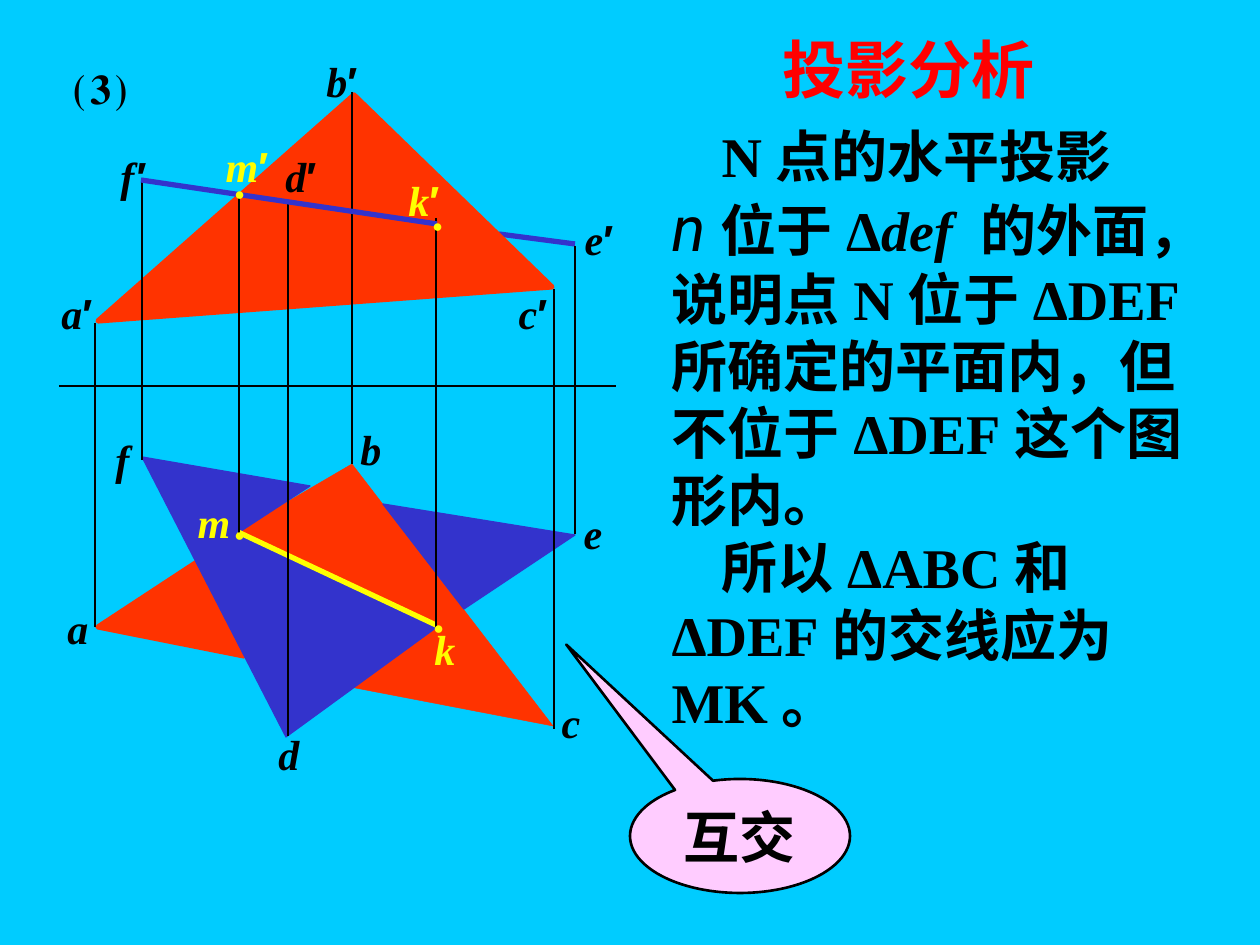
from dataclasses import dataclass

from lxml import etree
from pptx import Presentation
from pptx.dml.color import RGBColor
from pptx.enum.shapes import MSO_CONNECTOR, MSO_SHAPE
from pptx.enum.text import MSO_ANCHOR, MSO_AUTO_SIZE, PP_ALIGN
from pptx.oxml.ns import qn
from pptx.util import Emu, Pt

STRAIGHT = MSO_CONNECTOR.STRAIGHT
CALLOUT = MSO_SHAPE.OVAL_CALLOUT
MIDDLE = MSO_ANCHOR.MIDDLE
NO_FIT = MSO_AUTO_SIZE.NONE
LEFT, CENTER = PP_ALIGN.LEFT, PP_ALIGN.CENTER
SCALE = 914400 / 126


@dataclass(frozen=True)
class Theme:
    sky: str = "00CCFF"
    red: str = "FF3300"
    blue: str = "3333CC"
    yellow: str = "FFFF00"
    black: str = "000000"
    pink: str = "FFCCFF"
    heading: str = "FF0000"
    serif: str = "Times New Roman"
    sans: str = "Arial"
    light: str = "Roboto"
    chinese: str = "Noto Sans CJK SC"
    title_size: int = 36
    body_size: int = 32
    label_size: int = 24
    dot_size: int = 10
    thin: float = 1.5
    thick: float = 3


THEME = Theme()

TITLE = "投影分析"
TITLE_BOX = (770, 24, 290, 88)
BODY_BOX = (659, 115, 568, 626)
FIRST_INDENT = 50
# (first line indented, [(text, style)])
BODY = [
    (True, [("N点的水平投影", "")]),
    (False, [("n", "light"), ("位于Δ", ""), ("def ", "italic"), ("的外面，", "")]),
    (False, [("说明点N位于ΔDEF所确定的平面内，但不位于ΔDEF这个图形内。", "")]),
    (True, [("所以ΔABC和ΔDEF的交线应为MK。", "")]),
]
CALLOUT_TEXT = "互交"
CALLOUT_BOX = (630, 779, 220, 114)
CALLOUT_TAIL = (-0.79, -1.68)
NUMBER = "⑶"
NUMBER_BOX = (62, 42, 77, 81)

# (colour, outline width, corners)
FACES = [
    (THEME.red, 0.25, [(352, 464), (553, 726), (350, 687), (438, 627), (234, 533)]),
    (THEME.blue, 0.75, [(383, 504), (464, 609), (575, 535)]),
    (THEME.red, 3, [(197, 562), (98, 627), (244, 656)]),
    (THEME.red, 3, [(354, 95), (552, 287), (98, 321)]),
    (THEME.blue, 0.75, [(142, 457), (286, 737), (437, 627), (238, 533), (310, 486)]),
]
HIDDEN_EDGE = (499, 234, 575, 244)
FRONT_EDGE = (141, 180, 437, 224)
INTERSECTION = (238, 532, 436, 625)
AXIS = (59, 386, 616, 386)
# x, top, bottom of each projector
PROJECTORS = [
    (95, 323, 627), (352, 92, 464), (554, 289, 729), (142, 180, 460),
    (436, 218, 627), (239, 197, 533), (288, 200, 736), (575, 246, 534),
]
LABEL_HEIGHT = 63
# text, left, top, width
POINT_LABELS = [
    ("c′", 504, 281, 58), ("d′", 271, 144, 60), ("e′", 570, 207, 58),
    ("f′", 106, 144, 53), ("a′", 47, 281, 60), ("b′", 312, 49, 60),
    ("a", 55, 596, 45), ("b", 348, 417, 45), ("c", 549, 690, 44),
    ("d", 266, 722, 45), ("e", 571, 501, 44), ("f", 103, 427, 39),
]
MEETING_LABELS = [
    ("m", 185, 490, 58), ("k", 422, 617, 45),
    ("k′", 394, 168, 60), ("m′", 205, 134, 84),
]
DOT_SIZE = (35, 34)
DOTS = [(222, 517), (421, 610), (420, 208), (222, 176)]


def px(*values):
    return [Emu(round(value * SCALE)) for value in values]


def rgb(code):
    return RGBColor.from_string(code)


def style(span, size, color=THEME.black, font=THEME.serif, bold=True,
          italic=False, chinese=False):
    span.font.size = Pt(size)
    span.font.name = font
    span.font.bold = bold
    span.font.italic = italic
    span.font.color.rgb = rgb(color)
    if chinese:
        latin = span.font._element.find(qn("a:latin"))
        east_asian = etree.Element(qn("a:ea"), typeface=THEME.chinese)
        latin.addnext(east_asian)


def add_line(page, ends, color, width):
    line = page.shapes.add_connector(STRAIGHT, *px(*ends))
    line.line.color.rgb = rgb(color)
    line.line.width = Pt(width)
    etree.SubElement(line._element.spPr, qn("a:effectLst"))


def paint(shape, fill, outline, width):
    shape.shadow.inherit = False
    shape.fill.solid()
    shape.fill.fore_color.rgb = rgb(fill)
    shape.line.color.rgb = rgb(outline)
    shape.line.width = Pt(width)


def add_face(page, color, width, corners):
    builder = page.shapes.build_freeform(*corners[0], scale=SCALE)
    builder.add_line_segments(corners[1:], close=True)
    paint(builder.convert_to_shape(), color, color, width)


def add_text(page, box, text):
    """Add a centred, unwrapped text box and return its paragraph."""
    frame = page.shapes.add_textbox(*px(*box)).text_frame
    frame.word_wrap = False
    frame.vertical_anchor = MIDDLE
    para = frame.paragraphs[0]
    para.text = text
    para.alignment = CENTER
    return para


def add_label(page, text, left, top, width, color):
    letter, prime = text[0], text[1:]
    para = add_text(page, (left, top, width, LABEL_HEIGHT), letter)
    style(para.runs[0], THEME.label_size, color, italic=True)
    if prime:
        span = para.add_run()
        span.text = prime
        style(span, THEME.label_size, color, THEME.sans, italic=letter == "f")


def place(holder, box, wrap):
    holder.left, holder.top, holder.width, holder.height = px(*box)
    frame = holder.text_frame
    frame.auto_size = NO_FIT
    frame.word_wrap = wrap
    frame.vertical_anchor = MIDDLE
    return frame


def fill_title(holder):
    frame = place(holder, TITLE_BOX, wrap=True)
    frame.text = TITLE
    frame.paragraphs[0].alignment = LEFT
    style(frame.paragraphs[0].runs[0], THEME.title_size, THEME.heading, chinese=True)


def fill_body(holder):
    frame = place(holder, BODY_BOX, wrap=True)
    frame.text = "\n".join("" for _ in BODY)
    for para, (indented, spans) in zip(frame.paragraphs, BODY):
        properties = para._p.get_or_add_pPr()
        properties.set("marL", "0")
        properties.set("indent", str(px(FIRST_INDENT if indented else 0)[0]))
        etree.SubElement(properties, qn("a:buNone"))
        para.space_before = Pt(0)
        for text, kind in spans:
            span = para.add_run()
            span.text = text
            if kind == "light":
                style(span, THEME.title_size, font=THEME.light, bold=False, italic=True)
            else:
                style(span, THEME.body_size, italic=kind == "italic", chinese=True)


def add_callout(page):
    callout = page.shapes.add_shape(CALLOUT, *px(*CALLOUT_BOX))
    callout.adjustments[0], callout.adjustments[1] = CALLOUT_TAIL
    paint(callout, THEME.pink, THEME.black, THEME.thin)
    callout.text_frame.text = CALLOUT_TEXT
    callout.text_frame.vertical_anchor = MIDDLE
    para = callout.text_frame.paragraphs[0]
    para.alignment = CENTER
    style(para.runs[0], THEME.body_size, chinese=True)


def main():
    deck = Presentation()
    deck.slide_width, deck.slide_height = px(1260, 945)
    page = deck.slides.add_slide(deck.slide_layouts[1])
    page.background.fill.solid()
    page.background.fill.fore_color.rgb = rgb(THEME.sky)
    fill_title(page.shapes.title)
    fill_body(page.placeholders[1])

    add_line(page, HIDDEN_EDGE, THEME.blue, THEME.thick)
    for face in FACES:
        add_face(page, *face)
    add_line(page, INTERSECTION, THEME.yellow, THEME.thick)
    add_line(page, AXIS, THEME.black, THEME.thin)
    for x, top, bottom in PROJECTORS:
        add_line(page, (x, top, x, bottom), THEME.black, THEME.thin)
    add_line(page, FRONT_EDGE, THEME.blue, THEME.thick)

    for labels, color in ((POINT_LABELS, THEME.black), (MEETING_LABELS, THEME.yellow)):
        for label in labels:
            add_label(page, *label, color)
    for corner in DOTS:
        para = add_text(page, corner + DOT_SIZE, "●")
        style(para.runs[0], THEME.dot_size, THEME.yellow, bold=False)
    style(add_text(page, NUMBER_BOX, NUMBER).runs[0], THEME.body_size)
    add_callout(page)
    deck.save("out.pptx")


if __name__ == "__main__":
    main()
